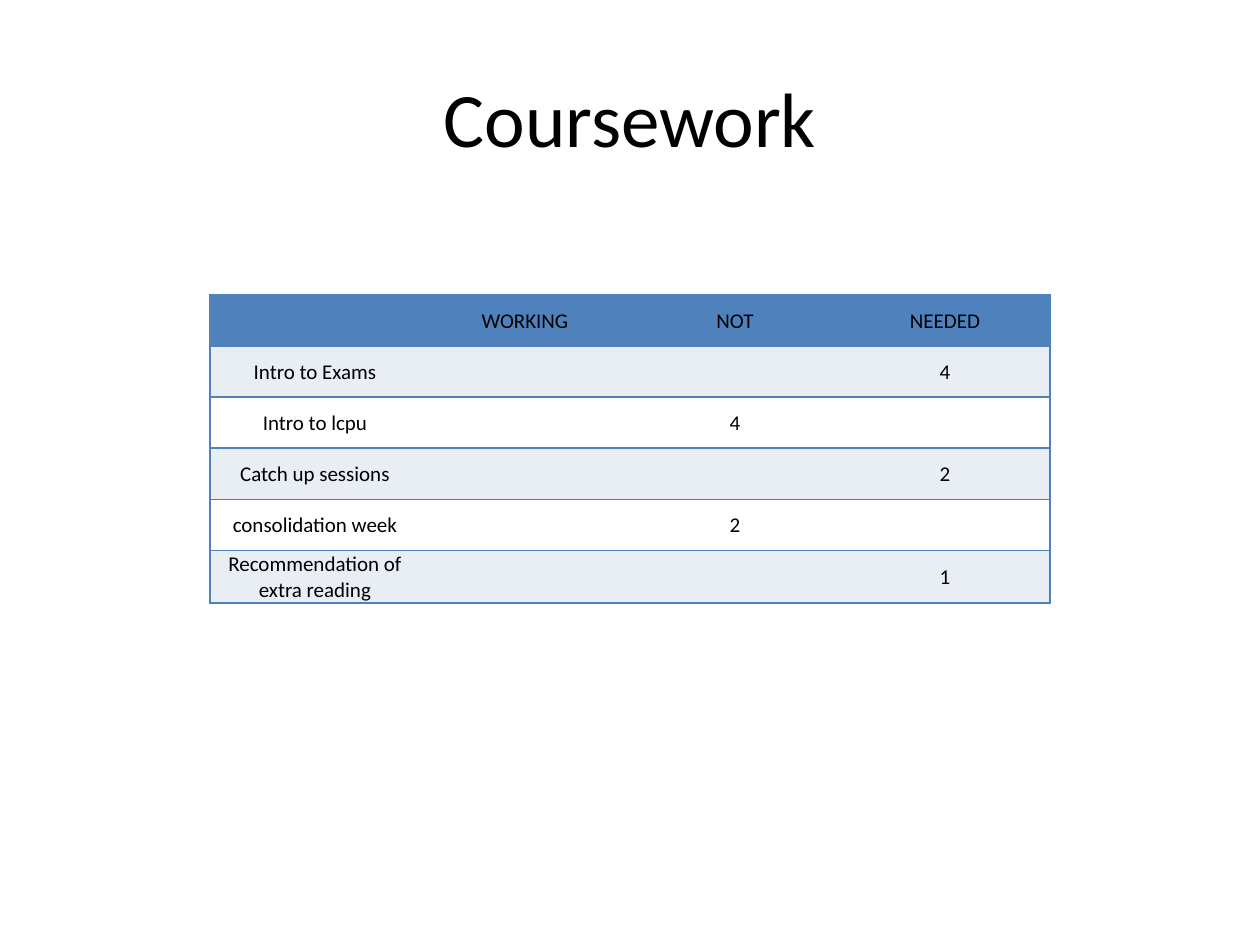
from lxml.etree import SubElement
from pptx import Presentation
from pptx.dml.color import RGBColor
from pptx.enum.text import MSO_ANCHOR, PP_ALIGN
from pptx.oxml.ns import qn
from pptx.util import Pt

BLACK = RGBColor(0x00, 0x00, 0x00)
WHITE = RGBColor(0xFF, 0xFF, 0xFF)
BLUE = RGBColor(0x4F, 0x81, 0xBD)
PALE = RGBColor(0xE9, 0xED, 0xF4)

ROWS = [
    ("", "WORKING", "NOT", "NEEDED"),
    ("Intro to Exams", "", "", "4"),
    ("Intro to lcpu", "", "4", ""),
    ("Catch up sessions", "", "", "2"),
    ("consolidation week", "", "2", ""),
    ("Recommendation of extra reading", "", "", "1"),
]


def write_text(frame, text, size=12, color=BLACK, font="Calibri", align=PP_ALIGN.CENTER):
    para = frame.paragraphs[0]
    para.alignment = align
    if text:
        span = para.add_run()
        span.text = text
        span.font.name = font
        span.font.size = Pt(size)
        span.font.color.rgb = color


def set_borders(cell, sides, color=BLUE, width=1):
    properties = cell._tc.get_or_add_tcPr()
    for side in "LRTB":
        line = SubElement(properties, qn(f"a:ln{side}"))
        if side in sides:
            line.set("w", str(Pt(width)))
            fill = SubElement(line, qn("a:solidFill"))
            SubElement(fill, qn("a:srgbClr")).set("val", str(color))
        else:
            line.set("w", "0")
            SubElement(line, qn("a:noFill"))


def add_title(page, text, left, top, width, height):
    title = page.shapes.title
    title.left, title.top = Pt(left), Pt(top)
    title.width, title.height = Pt(width), Pt(height)
    title.text_frame.vertical_anchor = MSO_ANCHOR.MIDDLE
    write_text(title.text_frame, text, size=44)


def add_feedback_table(page, rows, left, top, width, height):
    last = len(rows[0]) - 1
    table = page.shapes.add_table(
        len(rows), last + 1, Pt(left), Pt(top), Pt(width), Pt(height)
    ).table
    for row_index, row in enumerate(rows):
        fill_color = BLUE if row_index == 0 else PALE if row_index % 2 else WHITE
        for column_index, text in enumerate(row):
            cell = table.cell(row_index, column_index)
            cell.vertical_anchor = MSO_ANCHOR.MIDDLE
            cell.margin_left = cell.margin_right = cell.margin_top = Pt(0.72)
            cell.margin_bottom = Pt(0)
            sides = "TB" + "L" * (column_index == 0) + "R" * (column_index == last)
            set_borders(cell, sides)
            cell.fill.solid()
            cell.fill.fore_color.rgb = fill_color
            write_text(cell.text_frame, text)


def main():
    deck = Presentation()
    deck.slide_width, deck.slide_height = Pt(720), Pt(540)
    page = deck.slides.add_slide(deck.slide_layouts[5])
    add_title(page, "Coursework", 36, 21.6, 648, 90)
    add_feedback_table(page, ROWS, 120, 168.4, 480, 175.5)
    deck.save("out.pptx")


if __name__ == "__main__":
    main()
